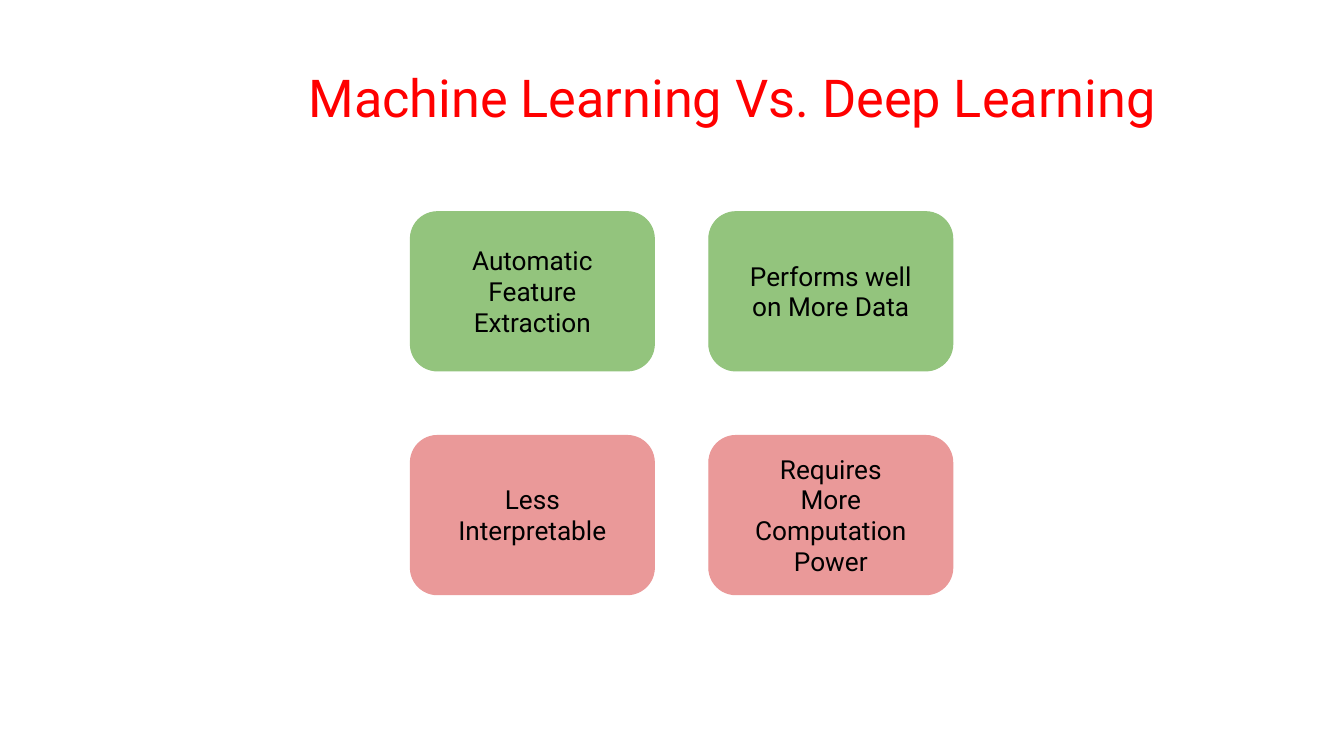
from pptx import Presentation
from pptx.dml.color import RGBColor
from pptx.enum.shapes import MSO_SHAPE
from pptx.enum.text import MSO_ANCHOR, PP_ALIGN
from pptx.util import Inches, Pt

ROUNDED = MSO_SHAPE.ROUNDED_RECTANGLE
MIDDLE = MSO_ANCHOR.MIDDLE
CENTER = PP_ALIGN.CENTER
FONT = "Roboto"
RED = RGBColor(0xFF, 0x00, 0x00)
BLACK = RGBColor(0x00, 0x00, 0x00)
GREEN = RGBColor(0x93, 0xC4, 0x7D)
PINK = RGBColor(0xEA, 0x99, 0x99)

CARD_LEFT, CARD_TOP = 4.07, 2.1
CARD_WIDTH, CARD_HEIGHT = 2.42, 1.58
COLUMN_STEP, ROW_STEP = 2.96, 2.22


def style_text(para, size, color):
    para.font.name = FONT
    para.font.size = Pt(size)
    para.font.color.rgb = color


deck = Presentation()
deck.slide_width = Inches(13.33)
deck.slide_height = Inches(7.5)
page = deck.slides.add_slide(deck.slide_layouts[6])

title = page.shapes.add_textbox(Inches(3.06), Inches(0.35), Inches(9.22), Inches(0.92))
frame = title.text_frame
frame.word_wrap = True
frame.vertical_anchor = MIDDLE
frame.margin_left = frame.margin_right = frame.margin_bottom = 0
frame.margin_top = Inches(0.3)
frame.text = "Machine Learning Vs. Deep Learning"
style_text(frame.paragraphs[0], 37.3, RED)

rows = [
    (GREEN, [("Automatic Feature Extraction", 0.35), ("Performs well on More Data", 0.2)]),
    (PINK, [("Less Interpretable", 0.35), ("Requires More Computation Power", 0.35)]),
]
for row, (color, cards) in enumerate(rows):
    for column, (label, side_margin) in enumerate(cards):
        card = page.shapes.add_shape(
            ROUNDED,
            Inches(CARD_LEFT + column * COLUMN_STEP),
            Inches(CARD_TOP + row * ROW_STEP),
            Inches(CARD_WIDTH),
            Inches(CARD_HEIGHT),
        )
        card.adjustments[0] = 0.17
        card.shadow.inherit = False
        card.fill.solid()
        card.fill.fore_color.rgb = color
        card.line.color.rgb = color
        card.line.width = Pt(0.75)
        frame = card.text_frame
        frame.word_wrap = True
        frame.vertical_anchor = MIDDLE
        frame.margin_left = frame.margin_right = Inches(side_margin)
        frame.text = label
        para = frame.paragraphs[0]
        para.alignment = CENTER
        para.line_spacing = Pt(22)
        style_text(para, 18.7, BLACK)

deck.save("out.pptx")
